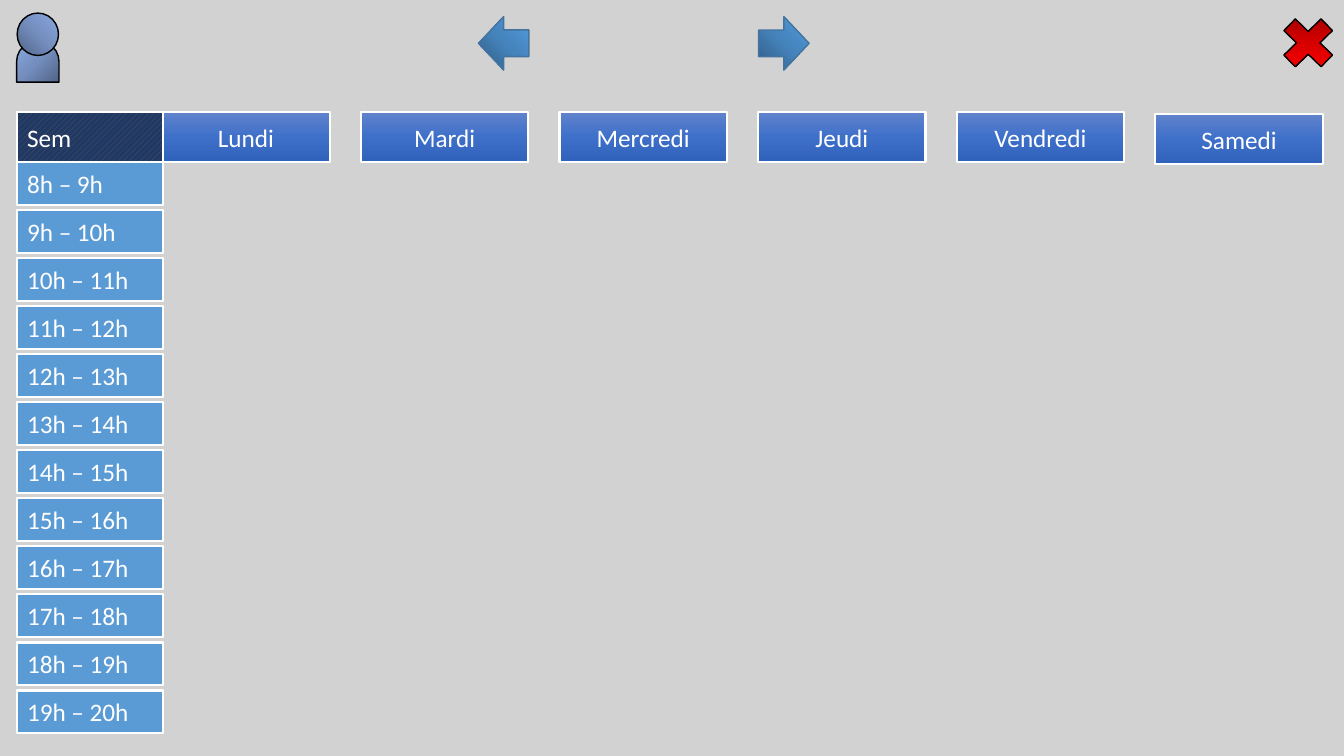
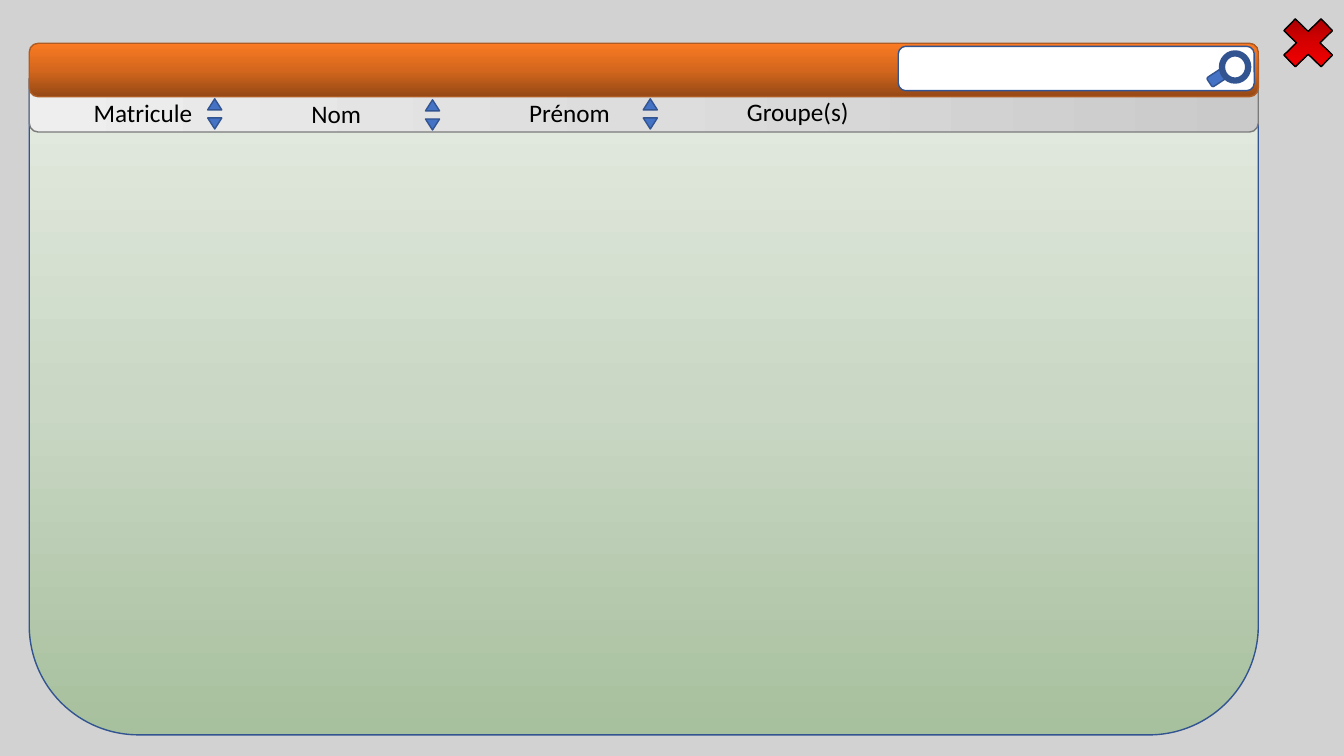
from pptx import Presentation
from pptx.dml.color import RGBColor
from pptx.enum.dml import MSO_PATTERN
from pptx.enum.shapes import MSO_SHAPE as SHAPE
from pptx.enum.text import MSO_ANCHOR, PP_ALIGN
from pptx.oxml import parse_xml
from pptx.oxml.ns import nsdecls
from pptx.util import Inches, Pt

HOURS = [f"{h}h – {h + 1}h" for h in range(8, 20)]
# Day and top of its heading
DAYS = [("Lundi", 1.11), ("Mardi", 1.11), ("Mercredi", 1.11),
        ("Jeudi", 1.11), ("Vendredi", 1.11), ("Samedi", 1.13)]
# Column heading, top of its text, whether it can be sorted
COLUMNS = [("Matricule", 0.92, True), ("Nom", 0.93, True),
           ("Prénom", 0.92, True), ("Groupe(s)", 0.91, False)]

FONT = "Calibri"
WHITE = RGBColor(0xFF, 0xFF, 0xFF)
BLACK = RGBColor(0x00, 0x00, 0x00)
BACKDROP = RGBColor(0xD2, 0xD2, 0xD2)
SKY = RGBColor(0x5B, 0x9B, 0xD5)
BLUE = RGBColor(0x44, 0x72, 0xC4)
BLUE_EDGE = RGBColor(0x32, 0x54, 0x91)
ARROW_EDGE = RGBColor(0x43, 0x73, 0x9E)
NAVY = RGBColor(0x20, 0x38, 0x64)
HATCH = RGBColor(0x59, 0x59, 0x59)
GREY_EDGE = RGBColor(0x7A, 0x7A, 0x7A)
ORANGE_EDGE = RGBColor(0xAF, 0x5C, 0x24)


def ramp(*codes):
    return [RGBColor.from_string(code) for code in codes]


# Three-stop colour ramps, start to end
DAY_RAMP = ramp("6183CB", "3E70CA", "3062BB")
PERSON_RAMP = ramp("516486", "748EBE", "89A9E1")
ARROW_RAMP = ramp("305C84", "4583BB", "529BDE")
RED_RAMP = ramp("970000", "D70000", "FF0000")
GREEN_RAMP = ramp("A7C09D", "C9D7C4", "E5EBE2")
GREY_RAMP = ramp("CACACA", "DDDDDD", "EEEEEE")
ORANGE_RAMP = ramp("954815", "D4671D", "FB7A23")


def fill_gradient(s, colors, angle):
    """Fill with three even stops; an angle of None means radial from bottom left."""
    stops = "".join(f'<a:gs pos="{i * 50000}"><a:srgbClr val="{c}"/></a:gs>'
                    for i, c in enumerate(colors))
    if angle is None:
        course = ('<a:path path="circle"><a:fillToRect t="100000" r="100000"/></a:path>'
                  '<a:tileRect l="-100000" b="-100000"/>')
    else:
        course = f'<a:lin ang="{angle * 60000}" scaled="0"/>'
    s.fill.gradient()
    sp_pr = s._element.spPr
    sp_pr.replace(sp_pr.find("{*}gradFill"), parse_xml(
        f'<a:gradFill {nsdecls("a")} rotWithShape="1">'
        f'<a:gsLst>{stops}</a:gsLst>{course}</a:gradFill>'))


def add_shape(slide, kind, x, y, w, h, fill, edge, width=1, angle=90, rotation=0):
    """Add a preset shape; a list as fill is a colour ramp."""
    s = slide.shapes.add_shape(kind, Inches(x), Inches(y), Inches(w), Inches(h))
    s.shadow.inherit = False
    s.rotation = rotation
    if isinstance(fill, list):
        fill_gradient(s, fill, angle)
    else:
        s.fill.solid()
        s.fill.fore_color.rgb = fill
    s.line.color.rgb = edge
    s.line.width = Pt(width)
    return s


def write(s, text, color=WHITE, align=PP_ALIGN.LEFT, anchor=MSO_ANCHOR.MIDDLE, size=18):
    tf = s.text_frame
    tf.word_wrap = True
    tf.vertical_anchor = anchor
    p = tf.paragraphs[0]
    p.alignment = align
    r = p.add_run()
    r.text = text
    r.font.name = FONT
    r.font.size = Pt(size)
    r.font.color.rgb = color


def add_close_button(slide):
    add_shape(slide, SHAPE.MATH_MULTIPLY, 12.62, 0.08, 0.71, 0.69, RED_RAMP, BLACK)


def build_timetable(slide):
    left, label_w, body_top = 0.17, 1.45, 1.61
    hour_pitch = (6.85 - body_top) / (len(HOURS) - 1)
    for i, hour in enumerate(HOURS):
        s = add_shape(slide, SHAPE.RECTANGLE, left, body_top + i * hour_pitch,
                      label_w, 0.42, SKY, WHITE, width=1.5)
        write(s, hour)
    for i, (day, top) in enumerate(DAYS):
        s = add_shape(slide, SHAPE.RECTANGLE, 1.61 + i * 1.97, top, 1.66, 0.5,
                      DAY_RAMP, WHITE, width=1.5)
        write(s, day, align=PP_ALIGN.CENTER)

    add_shape(slide, SHAPE.FLOWCHART_DELAY, left, 0.4, 0.41, 0.42,
              PERSON_RAMP, BLACK, angle=315, rotation=270)
    add_shape(slide, SHAPE.OVAL, left, 0.13, 0.41, 0.42, PERSON_RAMP, BLACK, angle=315)

    week = add_shape(slide, SHAPE.RECTANGLE, left, 1.11, label_w, 0.5,
                     NAVY, WHITE, width=1.5)
    week.fill.patterned()
    week.fill.pattern = MSO_PATTERN.WIDE_UPWARD_DIAGONAL
    week.fill.fore_color.rgb = HATCH
    week.fill.back_color.rgb = NAVY
    write(week, "Sem")

    for x, rotation in ((4.73, 90), (7.51, 270)):
        add_shape(slide, SHAPE.DOWN_ARROW, x, 0.18, 0.53, 0.5,
                  ARROW_RAMP, ARROW_EDGE, angle=None, rotation=rotation)
    add_close_button(slide)


def build_student_list(slide):
    left, width, bar_h = 0.29, 12.19, 0.53
    add_shape(slide, SHAPE.ROUND_2_SAME_RECTANGLE, left, 0.78, width, 6.51,
              GREEN_RAMP, BLUE_EDGE, rotation=180)
    add_shape(slide, SHAPE.ROUND_2_SAME_RECTANGLE, left, 0.78, width, bar_h,
              GREY_RAMP, GREY_EDGE, angle=0, rotation=180)
    add_shape(slide, SHAPE.ROUNDED_RECTANGLE, left, 0.43, width, bar_h,
              ORANGE_RAMP, ORANGE_EDGE, angle=270)
    add_shape(slide, SHAPE.ROUNDED_RECTANGLE, 8.91, 0.46, 3.53, 0.44, WHITE, BLUE_EDGE)

    for i, (heading, top, sortable) in enumerate(COLUMNS):
        x = 0.83 + i * 2.16
        box = slide.shapes.add_textbox(Inches(x), Inches(top), Inches(1.59), Inches(0.4))
        write(box, heading, color=BLACK, anchor=MSO_ANCHOR.TOP)
        if sortable:
            for drop, rotation in ((0.06, 0), (0.25, 180)):
                add_shape(slide, SHAPE.ISOSCELES_TRIANGLE, x + 1.23, top + drop,
                          0.14, 0.11, BLUE, BLUE_EDGE, rotation=rotation)

    # Magnifying glass: handle, then lens
    add_shape(slide, SHAPE.ROUNDED_RECTANGLE, 12.07, 0.58, 0.11, 0.31,
              BLUE, BLUE_EDGE, rotation=236.7)
    add_shape(slide, SHAPE.OVAL, 12.12, 0.53, 0.26, 0.27, WHITE, BLUE_EDGE, width=4.5)
    add_close_button(slide)


def main():
    prs = Presentation()
    prs.slide_width, prs.slide_height = Inches(13.33), Inches(7.5)
    backdrop = prs.slide_master.background.fill
    backdrop.solid()
    backdrop.fore_color.rgb = BACKDROP
    blank = prs.slide_layouts[6]
    for build in (build_timetable, build_student_list):
        build(prs.slides.add_slide(blank))
    prs.save("out.pptx")


if __name__ == "__main__":
    main()
